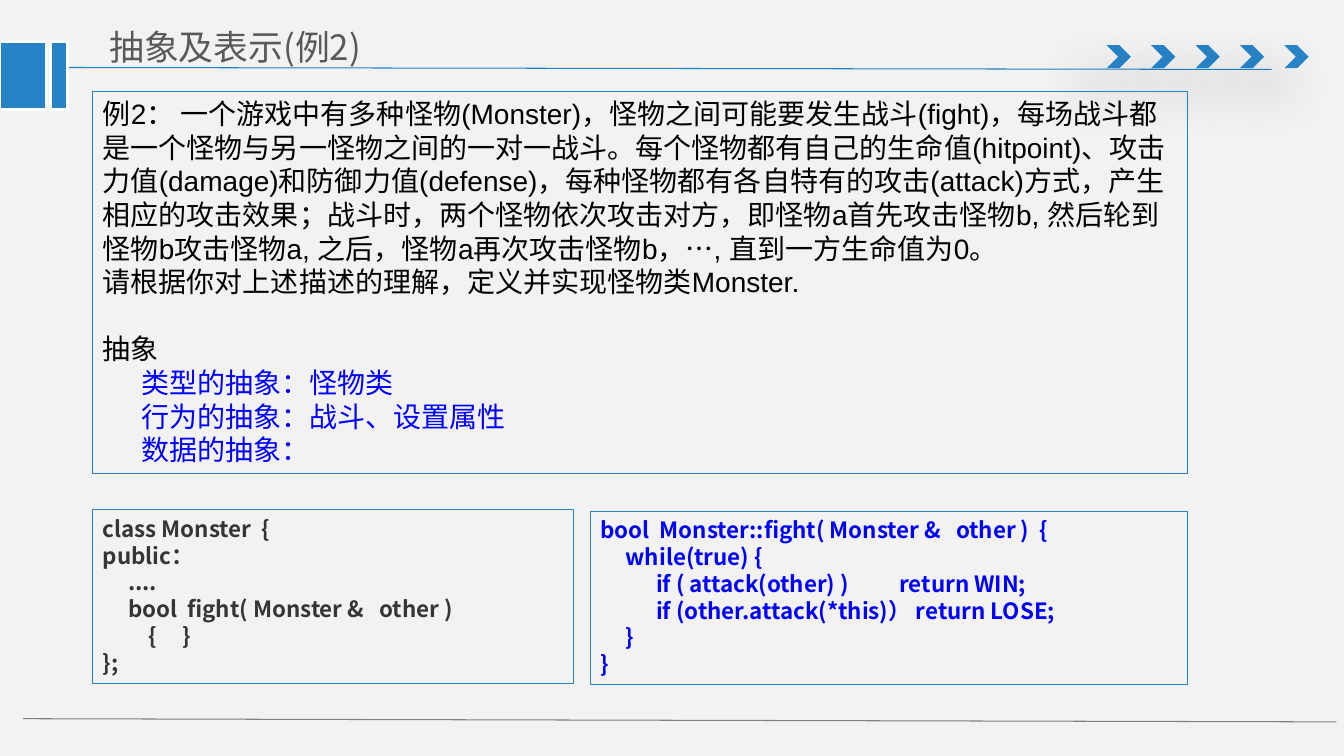
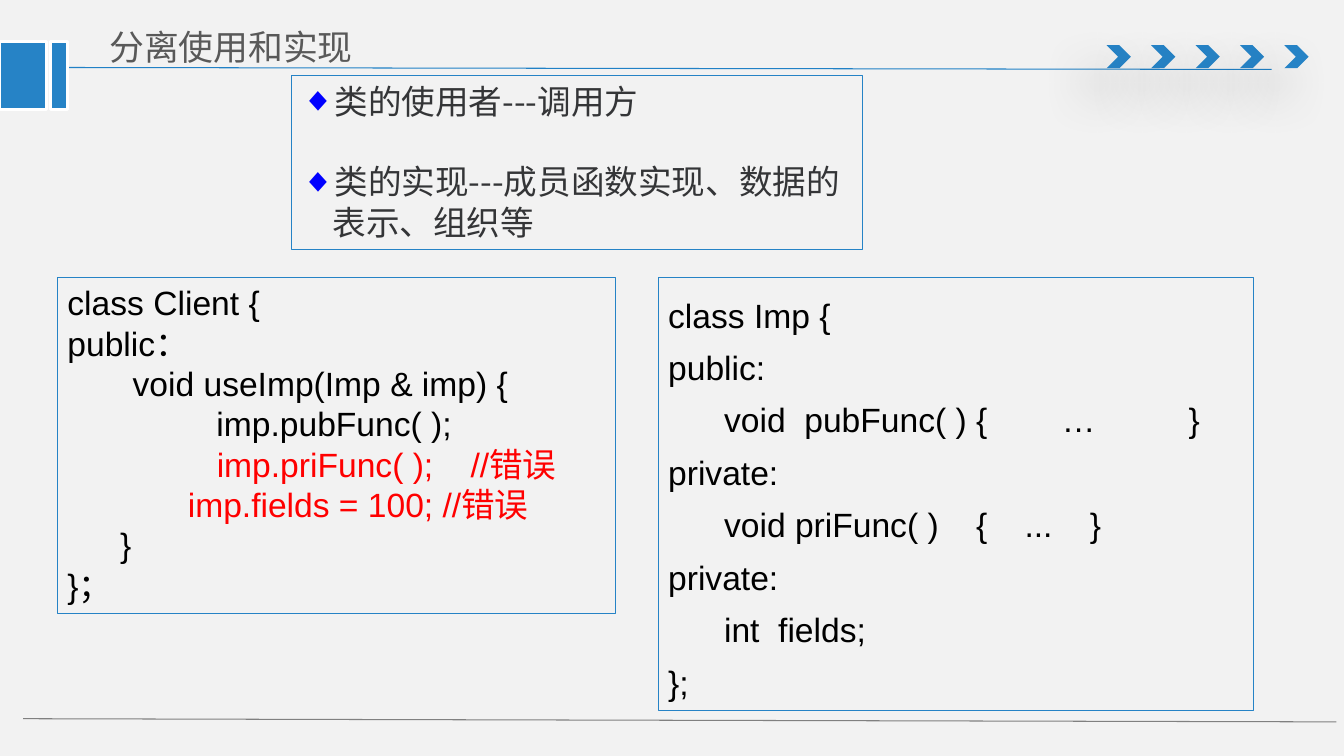
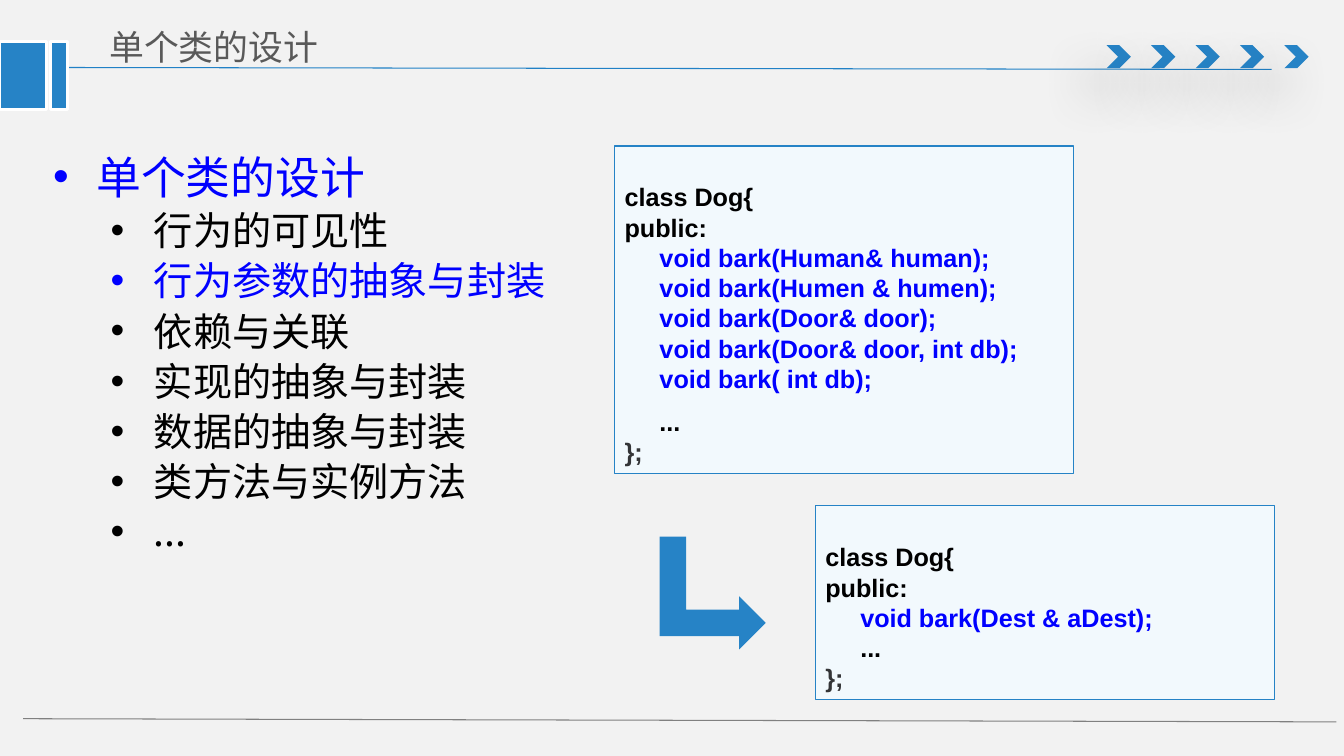
from dataclasses import dataclass

from lxml.etree import SubElement
from pptx import Presentation
from pptx.dml.color import RGBColor
from pptx.enum.shapes import MSO_CONNECTOR, MSO_SHAPE
from pptx.enum.text import MSO_ANCHOR
from pptx.oxml.ns import qn
from pptx.util import Cm, Pt

COLORS = {
    "background": "F2F2F2",
    "accent": "2683C6",
    "title_rule": "2181C6",
    "footer_rule": "808080",
    "white": "FFFFFF",
    "shadow": "000000",
    "title": "595959",
    "black": "000000",
    "dark": "343537",
    "blue": "0000FF",
    "red": "FF0000",
    "panel": "F2F9FD",
}
ARIAL = "Arial"
NOTO = "Noto Sans CJK SC"


@dataclass
class TextStyle:
    size: float
    font: str
    bold: bool = False
    leading: float = 1.2

    @property
    def line_height(self):
        return Pt(round(self.size * self.leading, 2))


TITLE = TextStyle(24.9, NOTO)
STATEMENT = TextStyle(20, ARIAL)
MONSTER_CODE = TextStyle(16, NOTO, bold=True)
ROLE = TextStyle(24, NOTO)
CLIENT_CODE = TextStyle(24, ARIAL)
IMP_CODE = TextStyle(24, ARIAL, leading=1.56)
DOG_CODE = TextStyle(18, ARIAL, bold=True)
TOPIC = TextStyle(32, NOTO, leading=1.08)
SUBTOPIC = TextStyle(28, NOTO, leading=1.08)


def color(name):
    return RGBColor.from_string(COLORS[name])


def place(box):
    return [Cm(length) for length in box]


def add_box(slide, box, fill=None, line=None, width=0.75, kind=MSO_SHAPE.RECTANGLE):
    shape = slide.shapes.add_shape(kind, *place(box))
    shape.shadow.inherit = False
    if fill:
        shape.fill.solid()
        shape.fill.fore_color.rgb = color(fill)
    else:
        shape.fill.background()
    if line:
        shape.line.color.rgb = color(line)
        shape.line.width = Pt(width)
    else:
        shape.line.fill.background()
    return shape


def add_rule(slide, ends, line):
    rule = slide.shapes.add_connector(MSO_CONNECTOR.STRAIGHT, *place(ends))
    rule.line.color.rgb = color(line)
    rule.line.width = Pt(0.75)
    SubElement(rule._element.spPr, qn("a:effectLst"))


def add_soft_shadow(shape):
    effects = shape._element.spPr.find(qn("a:effectLst"))
    shadow = SubElement(effects, qn("a:outerShdw"), blurRad=str(Pt(36)),
                        dist=str(Pt(24)), dir=str(130 * 60000), rotWithShape="0")
    shade = SubElement(shadow, qn("a:srgbClr"), val=COLORS["shadow"])
    SubElement(shade, qn("a:alpha"), val="38000")


def write_paragraph(paragraph, parts, style):
    """Write (text, colour) parts; a newline inside a text is a line break."""
    paragraph.line_spacing = style.line_height
    for text, color_name in parts:
        for number, line in enumerate(text.split("\n")):
            if number:
                paragraph.add_line_break()
            if not line:
                continue
            run = paragraph.add_run()
            run.text = line
            run.font.size = Pt(style.size)
            run.font.bold = style.bold
            run.font.name = style.font
            run.font.color.rgb = color(color_name)
            SubElement(run._r.get_or_add_rPr(), qn("a:ea"), typeface=NOTO)


def write(text_frame, paragraphs, style):
    text_frame.word_wrap = True
    text_frame.vertical_anchor = MSO_ANCHOR.TOP
    for number, parts in enumerate(paragraphs):
        paragraph = text_frame.add_paragraph() if number else text_frame.paragraphs[0]
        write_paragraph(paragraph, parts, style)
        paragraph.alignment = 1
    return text_frame.paragraphs


def add_text_panel(slide, box, paragraphs, style, fill=None):
    panel = add_box(slide, box, fill, "accent")
    write(panel.text_frame, paragraphs, style)
    return panel.text_frame


def set_indent(paragraph, left, hanging=0):
    properties = paragraph._p.get_or_add_pPr()
    properties.set("marL", str(Cm(left)))
    properties.set("indent", str(-Cm(hanging)))
    return properties


def add_bullet(paragraph, character, color_name, left, hanging):
    properties = set_indent(paragraph, left, hanging)
    bullet_color = SubElement(properties, qn("a:buClr"))
    SubElement(bullet_color, qn("a:srgbClr"), val=COLORS[color_name])
    SubElement(properties, qn("a:buFont"), typeface=ARIAL)
    SubElement(properties, qn("a:buChar"), char=character)


def add_chevrons(slide, left, top, pitch=1.12, count=5):
    for number in range(count):
        chevron = add_box(slide, (left + number * pitch, top, 0.61, 0.58),
                          "accent", kind=MSO_SHAPE.CHEVRON)
        add_soft_shadow(chevron)


def add_framed_slide(presentation, title):
    slide = presentation.slides.add_slide(presentation.slide_layouts[6])
    slide.background.fill.solid()
    slide.background.fill.fore_color.rgb = color("background")
    add_rule(slide, (1.35, 1.7, 32.05, 1.75), "title_rule")
    add_chevrons(slide, 27.89, 1.14)
    add_rule(slide, (0.58, 18.11, 33.68, 18.19), "footer_rule")
    for left, width in ((0, 1.17), (1.27, 0.43)):
        add_box(slide, (left, 1.04, width, 1.73), "accent", "white", 2)
    title_frame = slide.shapes.add_textbox(*place((2.51, 0.43, 11.76, 1.4))).text_frame
    write(title_frame, [[(title, "title")]], TITLE)
    title_frame.vertical_anchor = MSO_ANCHOR.BOTTOM
    return slide


def add_statement(slide, box):
    problem = (
        "例2： 一个游戏中有多种怪物(Monster)，怪物之间可能要发生战斗(fight)，"
        "每场战斗都是一个怪物与另一怪物之间的一对一战斗。每个怪物都有自己的生命值(hitpoint)、"
        "攻击力值(damage)和防御力值(defense)，每种怪物都有各自特有的攻击(attack)方式，"
        "产生相应的攻击效果；战斗时，两个怪物依次攻击对方，即怪物a首先攻击怪物b, "
        "然后轮到怪物b攻击怪物a, 之后，怪物a再次攻击怪物b，…, 直到一方生命值为0。\n"
        "请根据你对上述描述的理解，定义并实现怪物类Monster."
    )
    abstractions = ["类型的抽象：怪物类", "行为的抽象：战斗、设置属性", "数据的抽象："]
    paragraphs = [[(problem, "black")], [("抽象", "black")]]
    paragraphs += [[(text, "blue")] for text in abstractions]
    frame = add_text_panel(slide, box, paragraphs, STATEMENT)
    frame.paragraphs[1].space_before = STATEMENT.line_height
    for paragraph in frame.paragraphs[2:]:
        set_indent(paragraph, 0.97)


def build_monster_slide(presentation):
    slide = add_framed_slide(presentation, "抽象及表示(例2)")
    add_statement(slide, (2.34, 2.31, 27.58, 9.63))
    declaration = """class Monster  {
public：
     ....
     bool  fight( Monster &   other )
         {     }
};"""
    definition = """bool  Monster::fight( Monster &   other )  {
     while(true) {
           if ( attack(other) )          return WIN;
           if (other.attack(*this)） return LOSE;
     }
}"""
    add_text_panel(slide, (2.34, 12.85, 12.12, 4.37), [[(declaration, "dark")]], MONSTER_CODE)
    add_text_panel(slide, (14.88, 12.88, 15.06, 4.37), [[(definition, "blue")]], MONSTER_CODE)


def add_roles(slide, box):
    roles = ["类的使用者---调用方", "类的实现---成员函数实现、数据的表示、组织等"]
    frame = add_text_panel(slide, box, [[(role, "dark")] for role in roles], ROLE)
    for paragraph in frame.paragraphs:
        add_bullet(paragraph, "◆", "blue", 0.79, 0.79)
    frame.paragraphs[1].space_before = 2 * ROLE.line_height - ROLE.line_height


def build_separation_slide(presentation):
    slide = add_framed_slide(presentation, "分离使用和实现")
    add_roles(slide, (7.34, 1.91, 14.4, 4.39))
    implementation = """class Imp {
public:
      void  pubFunc( ) {        …          }
private:
      void priFunc( )    {    ...    }
private:
      int  fields;
};"""
    add_text_panel(slide, (16.59, 6.99, 14.99, 10.92), [[(implementation, "black")]], IMP_CODE)
    client = [
        [("class Client {", "black")],
        [("public：", "black")],
        [("       void useImp(Imp & imp) {\n                imp.pubFunc( );\n                ", "black"),
         ("imp.priFunc( );    //错误\n                imp.fields = 100; //错误\n", "red"),
         ("       }", "black")],
        [("}；", "black")],
    ]
    add_text_panel(slide, (1.45, 6.99, 14.07, 8.46), client, CLIENT_CODE)


def add_topics(slide, box):
    subtopics = ["行为的可见性", "行为参数的抽象与封装", "依赖与关联", "实现的抽象与封装",
                 "数据的抽象与封装", "类方法与实例方法", "..."]
    current = "行为参数的抽象与封装"
    frame = slide.shapes.add_textbox(*place(box)).text_frame
    heading = write(frame, [[("单个类的设计", "blue")]], TOPIC)[0]
    add_bullet(heading, "•", "blue", 1.09, 1.09)
    for subtopic in subtopics:
        color_name = "blue" if subtopic == current else "black"
        paragraph = frame.add_paragraph()
        write_paragraph(paragraph, [(subtopic, color_name)], SUBTOPIC)
        paragraph.level = 1
        paragraph.space_before = Pt(5.6)
        add_bullet(paragraph, "•", color_name, 2.54, 1.09)


def add_dog_class(slide, box, methods, gap=0):
    """Show class Dog with its methods; gap is the space in points above the ellipsis."""
    paragraphs = [
        [("class Dog{\npublic:\n", "black"), (methods, "blue")],
        [("     ...\n", "black"), ("};", "dark")],
    ]
    frame = add_text_panel(slide, box, paragraphs, DOG_CODE, "panel")
    frame.margin_top = Cm(0.9)
    frame.paragraphs[1].space_before = Pt(gap)


def build_class_design_slide(presentation):
    slide = add_framed_slide(presentation, "单个类的设计")
    overloads = """     void bark(Human& human);
     void bark(Humen & humen);
     void bark(Door& door);
     void bark(Door& door, int db);
     void bark( int db);"""
    add_dog_class(slide, (15.49, 3.68, 11.56, 8.26), overloads, gap=9)
    add_topics(slide, (1.09, 3.78, 13.67, 13.61))
    add_dog_class(slide, (20.55, 12.75, 11.56, 4.88), "     void bark(Dest & aDest);")
    arrow = add_box(slide, (16.54, 13.61, 2.84, 2.67), "accent", kind=MSO_SHAPE.BENT_UP_ARROW)
    arrow.rotation = 90


def main():
    presentation = Presentation()
    presentation.slide_width = Cm(33.87)
    presentation.slide_height = Cm(19.05)
    build_monster_slide(presentation)
    build_separation_slide(presentation)
    build_class_design_slide(presentation)
    presentation.save("out.pptx")


if __name__ == "__main__":
    main()
